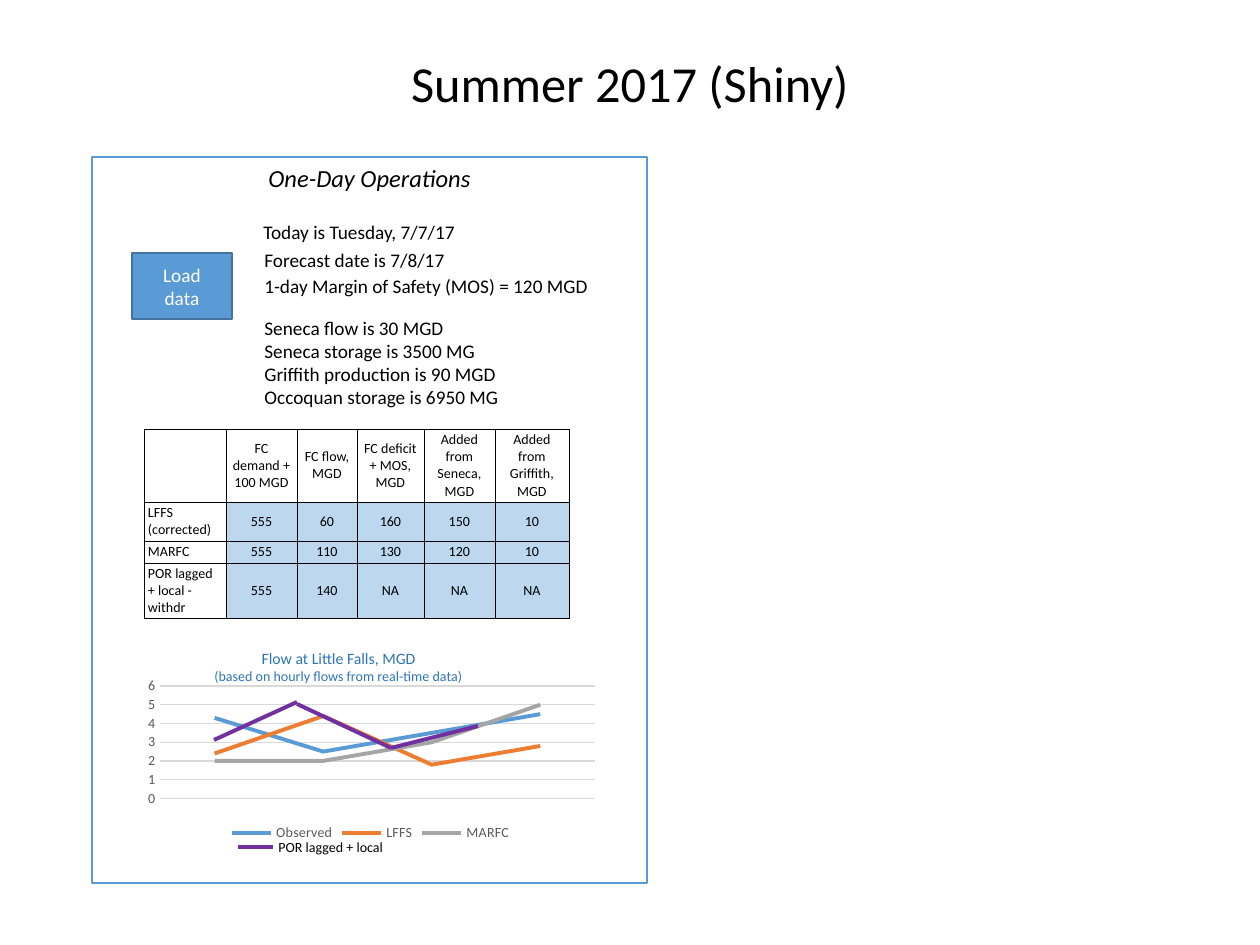
from lxml.etree import SubElement
from pptx import Presentation
from pptx.chart.data import CategoryChartData
from pptx.dml.color import RGBColor
from pptx.enum.chart import XL_CHART_TYPE as ChartType, XL_LEGEND_POSITION as LegendPosition
from pptx.enum.chart import XL_TICK_LABEL_POSITION as LabelPosition, XL_TICK_MARK as TickMark
from pptx.enum.shapes import MSO_CONNECTOR as Connector, MSO_SHAPE as Shape
from pptx.enum.text import MSO_ANCHOR as Anchor, PP_ALIGN as Align
from pptx.oxml import parse_xml
from pptx.oxml.ns import nsdecls, qn
from pptx.util import Emu, Pt

FONT = "Calibri"
BLACK, WHITE, GRAY = "000000", "FFFFFF", "595959"
BLUE, PALE_BLUE, PURPLE = "5B9BD5", "BDD7EE", "7030A0"

STATUS_LINES = [
    (252, 242, 253, "Forecast date is 7/8/17"),
    (251, 214, 253, "Today is Tuesday, 7/7/17"),
    (252, 310, 284, "Seneca flow is 30 MGD\nSeneca storage is 3500 MG\n"
                    "Griffith production is 90 MGD\nOccoquan storage is 6950 MG"),
    (252, 268, 353, "1-day Margin of Safety (MOS) = 120 MGD"),
]
COLUMN_WIDTHS = [82, 71, 60, 67, 71, 74]
ROW_HEIGHTS = [72, 39, 22, 55]
FORECAST_ROWS = [
    ["", "FC demand + 100 MGD", "FC flow, MGD", "FC deficit + MOS, MGD",
     "Added from Seneca, MGD", "Added from Griffith, MGD"],
    ["LFFS (corrected)", "555", "60", "160", "150", "10"],
    ["MARFC", "555", "110", "130", "120", "10"],
    ["POR lagged + local - withdr", "555", "140", "NA", "NA", "NA"],
]
FLOW_SERIES = [
    ("Observed", BLUE, (4.3, 2.5, 3.5, 4.5)),
    ("LFFS", "ED7D31", (2.4, 4.4, 1.8, 2.8)),
    ("MARFC", "A5A5A5", (2, 2, 3, 5)),
]
POR_LINES = [
    (238, 847, 273, 847),
    (214, 740, 297, 702),
    (297, 704, 391, 748),
    (391, 748, 478, 726),
]


def px(length):
    return Emu(round(length * 914400 / 126))


def box(*lengths):
    return [px(length) for length in lengths]


def rgb(color):
    return RGBColor.from_string(color)


def style_font(font, size, color, italic=None):
    font.name, font.size, font.italic = FONT, Pt(size), italic
    font.color.rgb = rgb(color)


def write_text(frame, text, size=11, color=BLACK, align=Align.LEFT, anchor=Anchor.TOP,
               italic=None, later_size=None, line_spacing=None):
    frame.word_wrap = True
    frame.vertical_anchor = anchor
    for index, line in enumerate(text.split("\n")):
        paragraph = frame.add_paragraph() if index else frame.paragraphs[0]
        paragraph.alignment = align
        paragraph.line_spacing = line_spacing
        run = paragraph.add_run()
        run.text = line
        style_font(run.font, later_size if index and later_size else size, color, italic)


def add_text(slide, place, text, **text_format):
    write_text(slide.shapes.add_textbox(*box(*place)).text_frame, text, **text_format)


def add_box(slide, place, text, fill, line, **text_format):
    shape = slide.shapes.add_shape(Shape.RECTANGLE, *box(*place))
    shape.shadow.inherit = False
    shape.fill.solid()
    shape.fill.fore_color.rgb = rgb(fill)
    shape.line.color.rgb = rgb(line)
    shape.line.width = Pt(1)
    write_text(shape.text_frame, text, align=Align.CENTER, **text_format)


def add_line(slide, ends, color):
    line = slide.shapes.add_connector(Connector.STRAIGHT, *box(*ends))
    line.line.color.rgb = rgb(color)
    line.line.width = Pt(2.25)
    SubElement(line._element.spPr, qn("a:effectLst"))


def border_cell(cell):
    properties = cell._tc.get_or_add_tcPr()
    for index, side in enumerate(("lnL", "lnR", "lnT", "lnB")):
        properties.insert(index, parse_xml(
            f'<a:{side} {nsdecls("a")} w="3175"><a:solidFill>'
            f'<a:srgbClr val="{BLACK}"/></a:solidFill></a:{side}>'))


def add_forecast_table(slide):
    place = (144, 429, sum(COLUMN_WIDTHS), sum(ROW_HEIGHTS))
    table = slide.shapes.add_table(len(ROW_HEIGHTS), len(COLUMN_WIDTHS), *box(*place)).table
    table.first_row = table.horz_banding = False
    for column, width in zip(table.columns, COLUMN_WIDTHS):
        column.width = px(width)
    for row_index, (row, height) in enumerate(zip(table.rows, ROW_HEIGHTS)):
        row.height = px(height)
        for column_index, cell in enumerate(row.cells):
            cell.margin_left = cell.margin_right = px(4)
            cell.margin_top = cell.margin_bottom = px(2)
            cell.vertical_anchor = Anchor.MIDDLE
            if row_index and column_index:
                cell.fill.solid()
                cell.fill.fore_color.rgb = rgb(PALE_BLUE)
            else:
                cell.fill.background()
            border_cell(cell)
            write_text(cell.text_frame, FORECAST_ROWS[row_index][column_index], size=8,
                       align=Align.CENTER if column_index else Align.LEFT, anchor=Anchor.MIDDLE)


def set_plot_layout(chart, **fractions):
    plot_area = chart._chartSpace.chart.plotArea
    for old_layout in plot_area.findall(qn("c:layout")):
        plot_area.remove(old_layout)
    values = "".join(f'<c:{name} val="{value}"/>' for name, value in fractions.items())
    plot_area.insert(0, parse_xml(
        f'<c:layout {nsdecls("c")}><c:manualLayout><c:layoutTarget val="inner"/>'
        f'<c:xMode val="edge"/><c:yMode val="edge"/>{values}</c:manualLayout></c:layout>'))


def add_flow_chart(slide):
    data = CategoryChartData()
    data.categories = ["1", "2", "3", "4"]
    for name, _, values in FLOW_SERIES:
        data.add_series(name, values)
    chart = slide.shapes.add_chart(ChartType.LINE, *box(137, 674, 467, 173), data).chart
    chart.has_title = False
    style_font(chart.font, 10, BLACK)
    chart.has_legend = True
    chart.legend.position = LegendPosition.BOTTOM
    chart.legend.include_in_layout = False
    style_font(chart.legend.font, 8, GRAY)
    chart.plots[0].vary_by_categories = False
    for series, (_, color, _) in zip(chart.plots[0].series, FLOW_SERIES):
        series.smooth = False
        series.format.line.color.rgb = rgb(color)
        series.format.line.width = Pt(2.25)
    chart.category_axis.visible = False
    axis = chart.value_axis
    axis.minimum_scale, axis.maximum_scale, axis.major_unit = 0, 6, 1
    axis.major_tick_mark = axis.minor_tick_mark = TickMark.NONE
    axis.tick_label_position = LabelPosition.NEXT_TO_AXIS
    style_font(axis.tick_labels.font, 8, GRAY)
    axis.format.line.fill.background()
    axis.major_gridlines.format.line.color.rgb = rgb("D9D9D9")
    axis.major_gridlines.format.line.width = Pt(0.75)
    set_plot_layout(chart, x=0.05, y=0.07, w=0.93, h=0.65)


def add_title(slide, text):
    title = slide.shapes.title
    title.left, title.top, title.width, title.height = box(87, 50, 1086, 72)
    write_text(title.text_frame, text, size=28.8, align=Align.CENTER,
               anchor=Anchor.MIDDLE, line_spacing=0.9)


def main():
    presentation = Presentation()
    presentation.slide_width, presentation.slide_height = box(1260, 945)
    slide = presentation.slides.add_slide(presentation.slide_layouts[5])
    add_title(slide, "Summer 2017 (Shiny)")
    add_box(slide, (92, 157, 555, 726), "One-Day Operations", WHITE, BLUE, size=14, italic=True)
    add_forecast_table(slide)
    add_flow_chart(slide)
    add_text(slide, (200, 648, 277, 37),
             "Flow at Little Falls, MGD\n(based on hourly flows from real-time data)",
             size=9, later_size=8, color="2E75B6", align=Align.CENTER, anchor=Anchor.MIDDLE)
    add_box(slide, (132, 253, 100, 66), "Load data", BLUE, "43739E",
            color=WHITE, anchor=Anchor.MIDDLE)
    for ends in POR_LINES:
        add_line(slide, ends, PURPLE)
    add_text(slide, (266, 832, 156, 30), "POR lagged + local", size=8)
    for left, top, width, text in STATUS_LINES:
        add_text(slide, (left, top, width, 37 * (1 + text.count("\n") // 2)), text)
    presentation.save("out.pptx")


if __name__ == "__main__":
    main()
